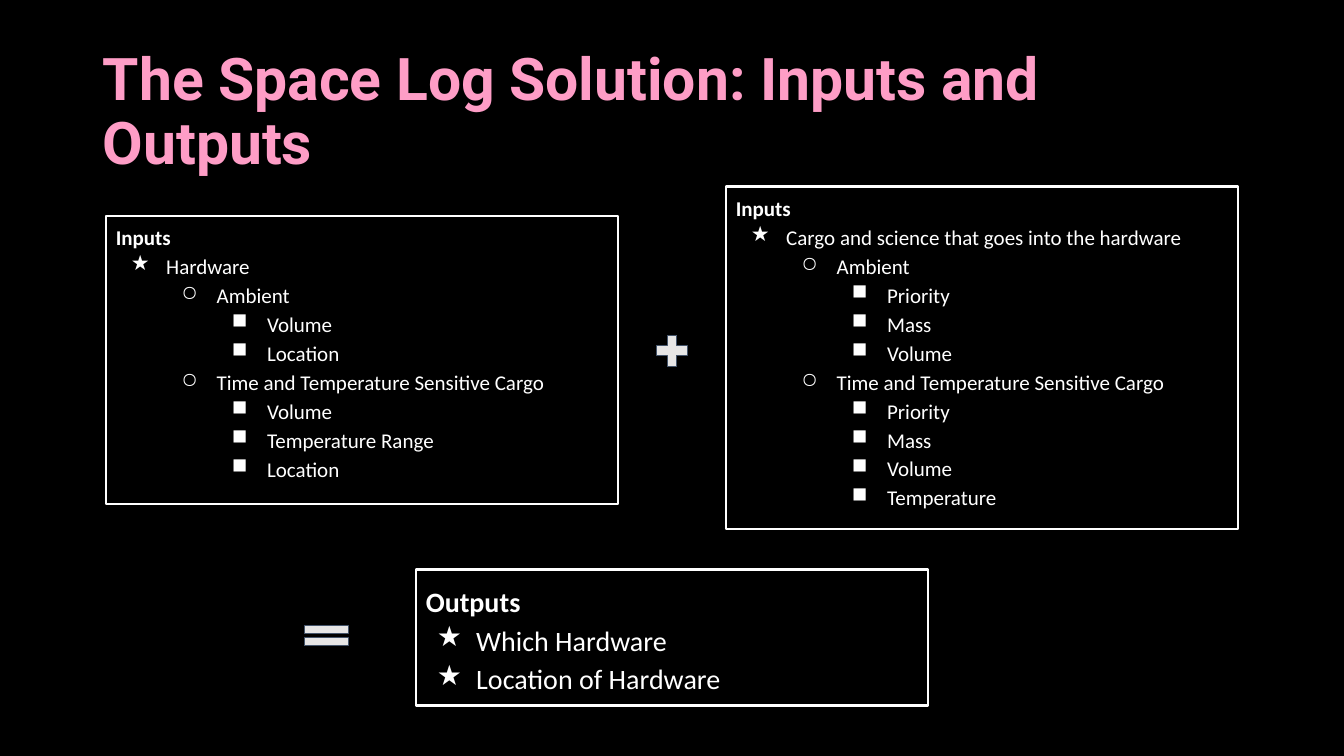
from lxml.etree import SubElement
from pptx import Presentation
from pptx.dml.color import RGBColor
from pptx.enum.shapes import MSO_SHAPE
from pptx.enum.text import MSO_ANCHOR, MSO_AUTO_SIZE, PP_ALIGN
from pptx.oxml.ns import qn
from pptx.util import Inches, Pt

TITLE = "The Space Log Solution: Inputs and Outputs"

# Each line: (level, text); level 0 is the heading of its box
HARDWARE = [
    (0, "Inputs"),
    (1, "Hardware"),
    (2, "Ambient"),
    (3, "Volume"),
    (3, "Location"),
    (2, "Time and Temperature Sensitive Cargo"),
    (3, "Volume"),
    (3, "Temperature Range"),
    (3, "Location"),
]
CARGO = [
    (0, "Inputs"),
    (1, "Cargo and science that goes into the hardware"),
    (2, "Ambient"),
    (3, "Priority"),
    (3, "Mass"),
    (3, "Volume"),
    (2, "Time and Temperature Sensitive Cargo"),
    (3, "Priority"),
    (3, "Mass"),
    (3, "Volume"),
    (3, "Temperature"),
]
OUTPUTS = [
    (0, "Outputs"),
    (1, "Which Hardware"),
    (1, "Location of Hardware"),
]
BULLETS = {1: "★", 2: "○", 3: "■"}

THEME = {
    "background": RGBColor(0x00, 0x00, 0x00),
    "title": RGBColor(0xFE, 0x9D, 0xC6),
    "text": RGBColor(0xFF, 0xFF, 0xFF),
    "sign": RGBColor(0xE7, 0xE6, 0xE6),
    "sign_line": RGBColor(0x44, 0x54, 0x6A),
    "title_font": "Roboto",
    "body_font": "Calibri",
    "title_size": 42,
    "input_size": 15,
    "output_size": 20,
}

# Columns and rows are hundredths of the slide's width and height
WIDTH, HEIGHT = Inches(13.33), Inches(7.5)
MARGIN, BOX_COLUMNS, PLUS_COLUMNS = 7.88, 38.11, 3.08
RIGHT = 100 - MARGIN - BOX_COLUMNS
MIDDLE = (100 - BOX_COLUMNS) / 2

# Lines, left, top, rows, type size, hanging indent, top inset
BOXES = [
    (HARDWARE, MARGIN, 28.53, 38.13, THEME["input_size"], 0.35, 0.05),
    (OUTPUTS, MIDDLE, 75.33, 18, THEME["output_size"], 0.39, 0.1),
    (CARGO, RIGHT, 24.67, 45.33, THEME["input_size"], 0.35, 0.05),
]
# Shape, cell, adjustments
SIGNS = [
    (MSO_SHAPE.MATH_EQUAL, (22.06, 81.73, 4.43, 4.67), (0.235, 0.118)),
    (MSO_SHAPE.MATH_PLUS,
     ((100 - PLUS_COLUMNS) / 2, 43.6, PLUS_COLUMNS, 5.6), (0.235,)),
]


def cell(left, top, columns, rows):
    """Turn grid columns and rows into slide lengths."""
    return (int(WIDTH * left / 100), int(HEIGHT * top / 100),
            int(WIDTH * columns / 100), int(HEIGHT * rows / 100))


def set_all(target, values):
    for name, value in values.items():
        setattr(target, name, value)


def write(para, text, color, **font):
    span = para.add_run()
    span.text = text
    span.font.color.rgb = color
    set_all(span.font, font)


def add_bullet(para, level, hanging):
    properties = para._p.get_or_add_pPr()
    properties.set("marL", str(Inches(0.5 * level)))
    properties.set("indent", str(-Inches(hanging)))
    color = SubElement(properties, qn("a:buClr"))
    SubElement(color, qn("a:srgbClr"), val=str(THEME["text"]))
    SubElement(properties, qn("a:buChar"), char=BULLETS[level])


def add_outlined(page, kind, place, line_color, line_width):
    shape = page.shapes.add_shape(kind, *place)
    shape.shadow.inherit = False
    shape.line.color.rgb = line_color
    shape.line.width = Pt(line_width)
    return shape


def add_box(page, lines, left, top, rows, size, hanging, inset):
    box = add_outlined(page, MSO_SHAPE.RECTANGLE,
                       cell(left, top, BOX_COLUMNS, rows), THEME["text"], 1.5)
    box.fill.background()
    frame = box.text_frame
    set_all(frame, {
        "word_wrap": True, "vertical_anchor": MSO_ANCHOR.TOP,
        "margin_left": Inches(0.1), "margin_right": Inches(0.1),
        "margin_top": Inches(inset), "margin_bottom": Inches(inset),
    })
    for index, (level, text) in enumerate(lines):
        para = frame.add_paragraph() if index else frame.paragraphs[0]
        set_all(para, {
            "alignment": PP_ALIGN.LEFT, "line_spacing": 1.15,
            "space_before": Pt(0), "space_after": Pt(0),
            "level": max(level - 1, 0),
        })
        if level:
            add_bullet(para, level, hanging)
        write(para, text, THEME["text"], name=THEME["body_font"],
              size=Pt(size), bold=level == 0)


def add_sign(page, kind, place, adjustments):
    sign = add_outlined(page, kind, cell(*place), THEME["sign_line"], 0.75)
    sign.fill.solid()
    sign.fill.fore_color.rgb = THEME["sign"]
    for index, value in enumerate(adjustments):
        sign.adjustments[index] = value


def set_title(page):
    title = page.shapes.title
    place = cell(6.9, 5.33, 86.27, 19.33)
    set_all(title, dict(zip(("left", "top", "width", "height"), place)))
    set_all(title.text_frame, {
        "word_wrap": True, "vertical_anchor": MSO_ANCHOR.MIDDLE,
        "auto_size": MSO_AUTO_SIZE.NONE,
    })
    para = title.text_frame.paragraphs[0]
    set_all(para, {"alignment": PP_ALIGN.LEFT, "line_spacing": 0.9,
                   "space_before": Pt(0)})
    write(para, TITLE, THEME["title"], name=THEME["title_font"],
          size=Pt(THEME["title_size"]), bold=True)


def main():
    deck = Presentation()
    set_all(deck, {"slide_width": WIDTH, "slide_height": HEIGHT})
    page = deck.slides.add_slide(deck.slide_layouts.get_by_name("Title Only"))
    page.background.fill.solid()
    page.background.fill.fore_color.rgb = THEME["background"]
    set_title(page)
    for box in BOXES:
        add_box(page, *box)
    for sign in SIGNS:
        add_sign(page, *sign)
    deck.save("out.pptx")


if __name__ == "__main__":
    main()
